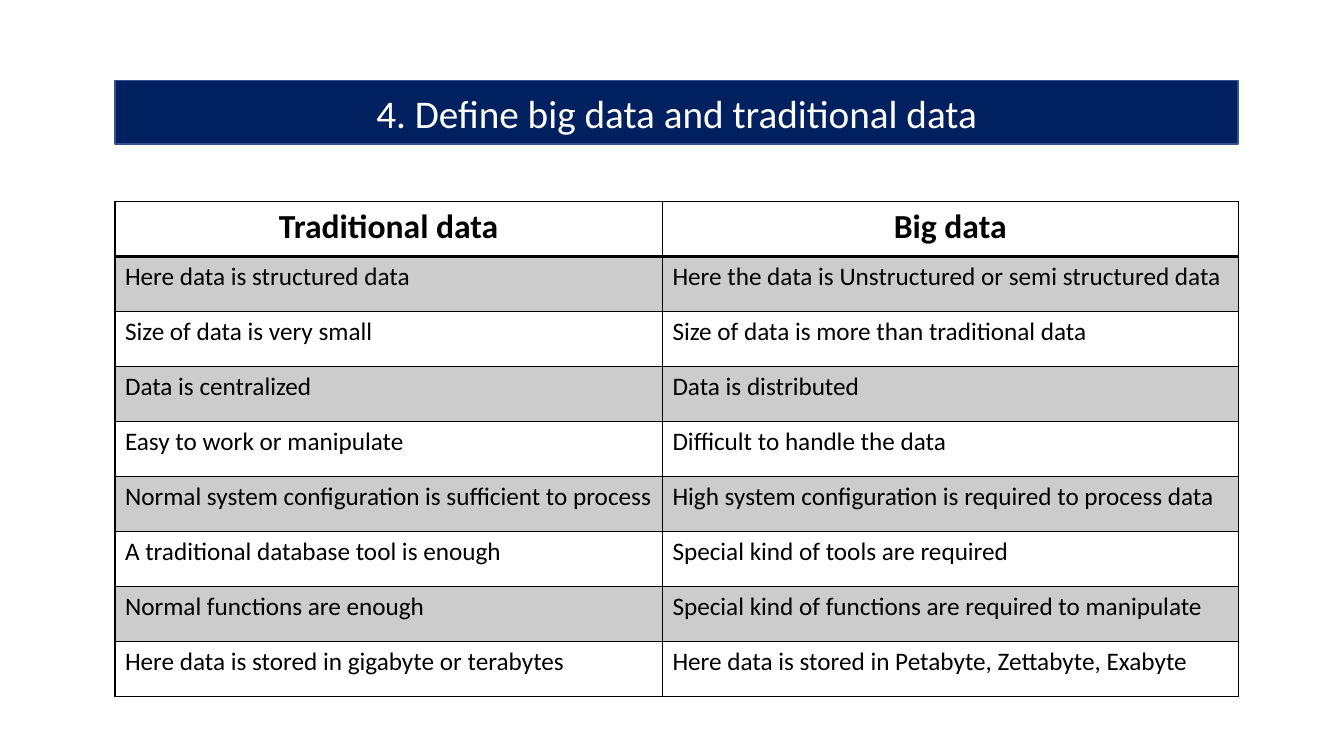
from lxml import etree
from pptx import Presentation
from pptx.dml.color import RGBColor
from pptx.enum import shapes, text
from pptx.oxml.ns import qn
from pptx.util import Inches, Pt

TITLE = "4. Define big data and traditional data"
ROWS = [
    ("Traditional data", "Big data"),
    ("Here data is structured data",
     "Here the data is Unstructured or semi structured data"),
    ("Size of data is very small", "Size of data is more than traditional data"),
    ("Data is centralized", "Data is distributed"),
    ("Easy to work or manipulate", "Difficult to handle the data"),
    ("Normal system configuration is sufficient to process",
     "High system configuration is required to process data"),
    ("A traditional database tool is enough", "Special kind of tools are required"),
    ("Normal functions are enough",
     "Special kind of functions are required to manipulate"),
    ("Here data is stored in gigabyte or terabytes",
     "Here data is stored in Petabyte, Zettabyte, Exabyte"),
]
COLS = (5.43, 5.71)
LEFT, WIDTH, HEIGHT = 1.14, sum(COLS), 4.91


def paint(part, color):
    part.solid()
    part.fore_color.rgb = RGBColor.from_string(color)


def write(frame, words, size, color, bold=False, center=False):
    frame.text = words
    para = frame.paragraphs[0]
    para.alignment = text.PP_ALIGN.CENTER if center else text.PP_ALIGN.LEFT
    font = para.font
    font.name, font.size, font.bold = "Calibri", Pt(size), bold
    paint(font.fill, color)


def edge(cell, sides):
    """Set black borders; they must precede the fill in the cell XML."""
    props = cell._tc.get_or_add_tcPr()
    for spot, (side, width) in enumerate(sides.items()):
        line = etree.Element(qn("a:ln" + side), w=str(Pt(width)))
        fill = etree.SubElement(line, qn("a:solidFill"))
        etree.SubElement(fill, qn("a:srgbClr"), val="000000")
        props.insert(spot, line)


deck = Presentation()
deck.slide_width, deck.slide_height = Inches(13.33), Inches(7.5)
slide = deck.slides.add_slide(deck.slide_layouts[6])

# Comparison table
frame = slide.shapes.add_table(len(ROWS), len(COLS), Inches(LEFT), Inches(2),
                               Inches(WIDTH), Inches(HEIGHT))
table = frame.table
table.horz_banding = False
for col, width in zip(table.columns, COLS):
    col.width = Inches(width)
for r, row in enumerate(ROWS):
    table.rows[r].height = Inches(HEIGHT / len(ROWS))
    head = r == 0
    for c, words in enumerate(row):
        cell = table.cell(r, c)
        write(cell.text_frame, words, 24 if head else 18, "000000", head, head)
        if r % 2:
            # Black at 20 % opacity
            paint(cell.fill, "000000")
            tint = cell._tc.tcPr.find(".//" + qn("a:srgbClr"))
            etree.SubElement(tint, qn("a:alpha"), val="20000")
        else:
            cell.fill.background()
        edge(cell, {"L": 1, "R": 1, "T": 2 if r == 1 else 1, "B": 2 if head else 1})

# Title bar
bar = slide.shapes.add_shape(shapes.MSO_SHAPE.RECTANGLE, Inches(LEFT), Inches(0.8),
                             Inches(WIDTH), Inches(0.63))
bar.shadow.inherit = False
paint(bar.fill, "002060")
paint(bar.line.fill, "325491")
bar.line.width = Pt(1)
bar.text_frame.word_wrap = True
bar.text_frame.vertical_anchor = text.MSO_ANCHOR.MIDDLE
write(bar.text_frame, TITLE, 28, "FFFFFF", center=True)

deck.save("out.pptx")
